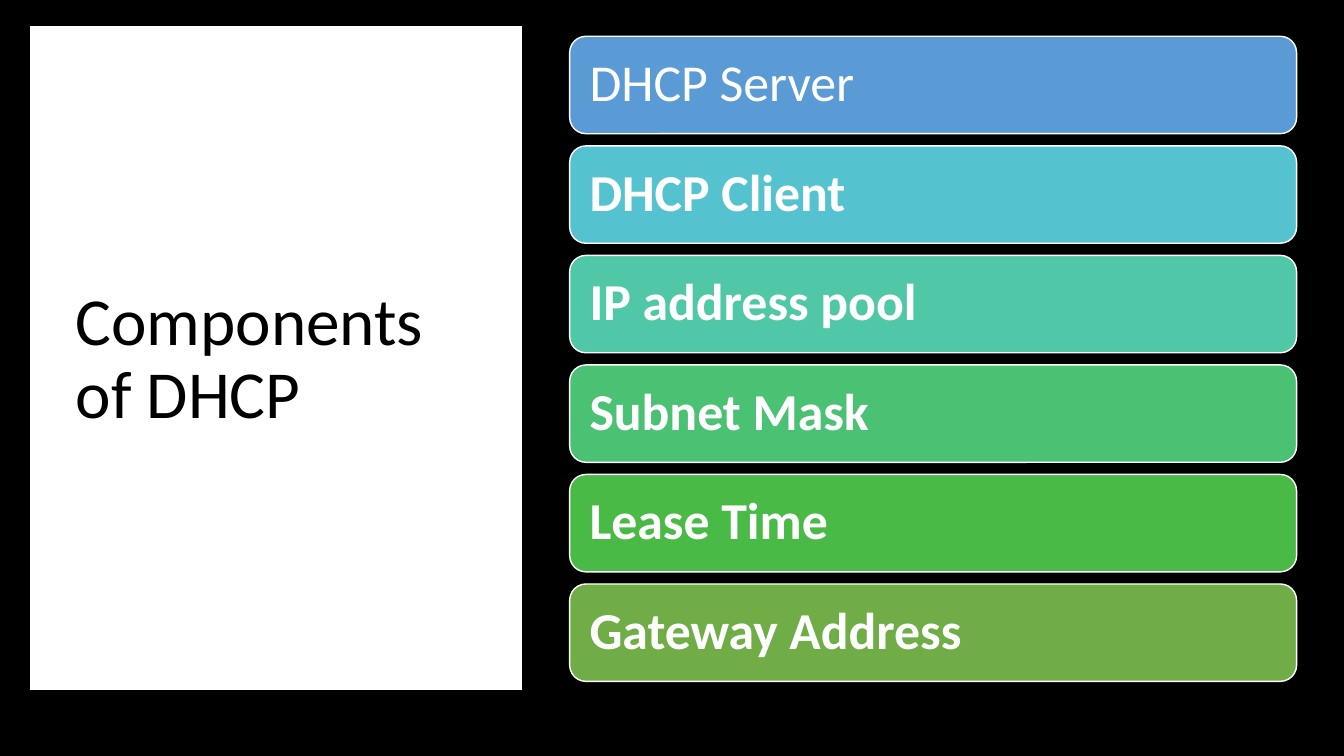
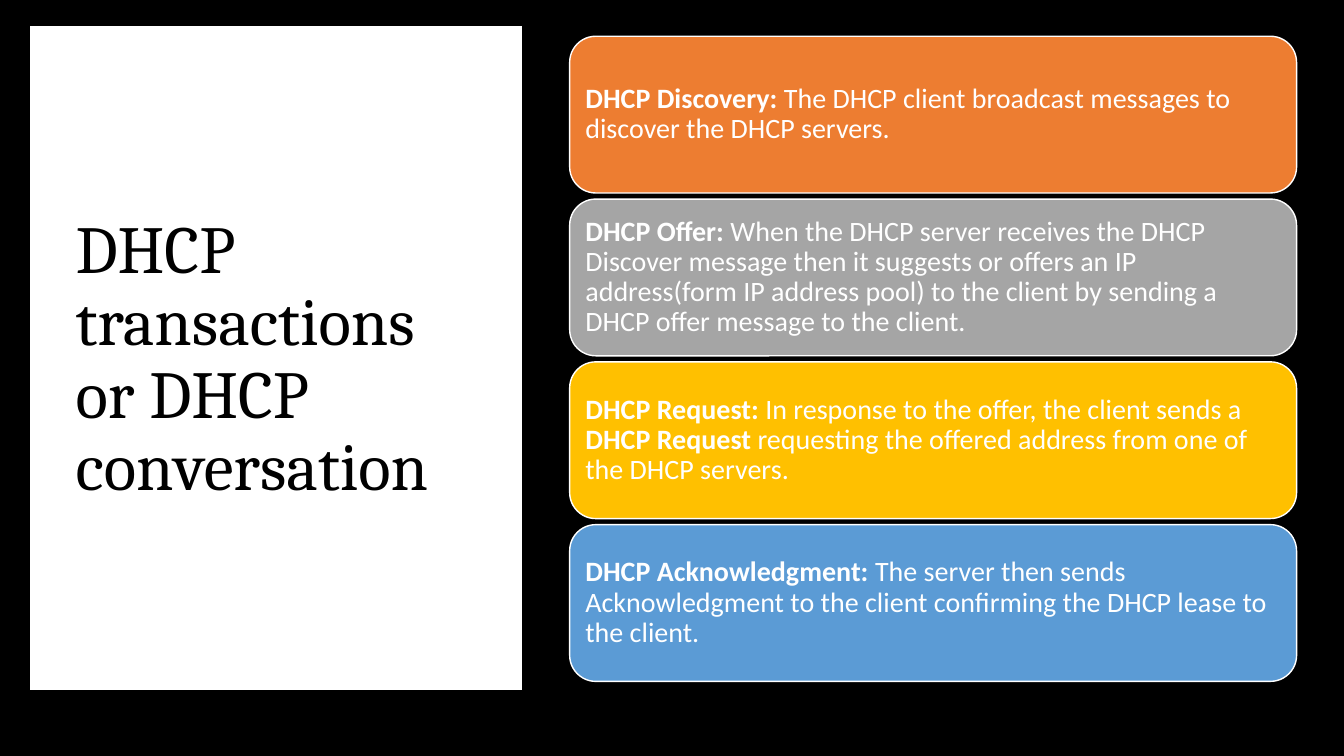
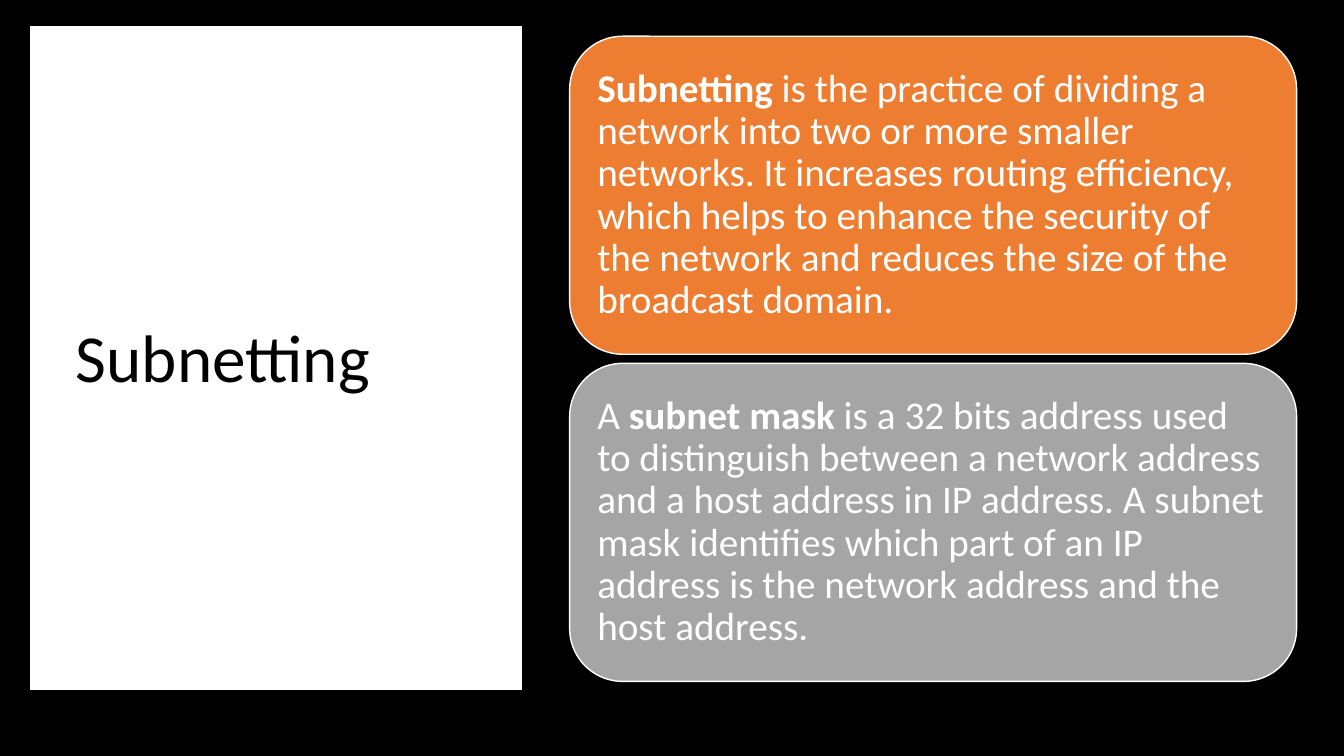
from pptx import Presentation
from pptx.dml.color import RGBColor
from pptx.enum.shapes import MSO_SHAPE as Shape
from pptx.enum.text import MSO_ANCHOR as Anchor, MSO_AUTO_SIZE as AutoSize, PP_ALIGN as Align
from pptx.oxml import parse_xml
from pptx.oxml.ns import nsdecls
from pptx.util import Inches, Pt

BLACK = RGBColor(0x00, 0x00, 0x00)
WHITE = RGBColor(0xFF, 0xFF, 0xFF)
ORANGE = RGBColor(0xED, 0x7D, 0x31)
GRAY = RGBColor(0xA5, 0xA5, 0xA5)
GOLD = RGBColor(0xFF, 0xC0, 0x00)
BLUE = RGBColor(0x5B, 0x9B, 0xD5)
CYAN = RGBColor(0x55, 0xC3, 0xCF)
TEAL = RGBColor(0x50, 0xC8, 0xA7)
MINT = RGBColor(0x4B, 0xC1, 0x74)
GREEN = RGBColor(0x4A, 0xBA, 0x46)
OLIVE = RGBColor(0x70, 0xAD, 0x47)

# Content: each card is a colour and a text, with bold words between ** marks
SLIDES = [
    dict(title="Components of DHCP", font="Calibri", size=37, gap=0.12, inset=0.15, cards=[
        (BLUE, "DHCP Server"),
        (CYAN, "**DHCP Client**"),
        (TEAL, "**IP address pool**"),
        (MINT, "**Subnet Mask**"),
        (GREEN, "**Lease Time**"),
        (OLIVE, "**Gateway Address**"),
    ]),
    dict(title="DHCP transactions or DHCP conversation", font="Cambria", size=20, gap=0.06,
         inset=0.08, cards=[
        (ORANGE, "**DHCP Discovery: **The DHCP client broadcast messages to discover the "
                 "DHCP servers."),
        (GRAY, "**DHCP Offer: **When the DHCP server receives the DHCP Discover message then "
               "it suggests or offers an IP address(form IP address pool) to the client by "
               "sending a DHCP offer message to the client."),
        (GOLD, "**DHCP Request: **In response to the offer, the client sends "
               "a **DHCP Request** requesting the offered address from one of the DHCP servers."),
        (BLUE, "**DHCP Acknowledgment: **The server then sends Acknowledgment to the client "
               "confirming the DHCP lease to the client."),
    ]),
    dict(title="Subnetting", font="Calibri", size=28, gap=0.09, inset=0.12, cards=[
        (ORANGE, "**Subnetting** is the practice of dividing a network into two or more smaller "
                 "networks. It increases routing efficiency, which helps to enhance the security "
                 "of the network and reduces the size of the broadcast domain."),
        (GRAY, "A **subnet mask** is a 32 bits address used to distinguish between a network "
               "address and a host address in IP address. A subnet mask identifies which part "
               "of an IP address is the network address and the host address."),
    ]),
]

# Card column shared by all slides
CARD_LEFT, CARD_WIDTH = 5.65, 7.21
STACK_TOP, STACK_HEIGHT = 0.36, 6.4


def add_filled(page, kind, left, top, width, height, fill, line_width):
    box = page.shapes.add_shape(kind, Inches(left), Inches(top), Inches(width), Inches(height))
    box.shadow.inherit = False
    box.fill.solid()
    box.fill.fore_color.rgb = fill
    box.line.color.rgb = WHITE
    box.line.width = Pt(line_width)
    return box


def format_text(para, font, size, color):
    para.alignment = Align.LEFT
    para.line_spacing = 0.9
    for span in para.runs:
        span.font.name = font
        span.font.size = Pt(size)
        span.font.color.rgb = color


def add_title(page, text, font):
    panel = add_filled(page, Shape.RECTANGLE, 0.37, 0.33, 4.74, 6.45, WHITE, 10)
    # Square corners for the thick outline
    panel.line._get_or_add_ln().append(parse_xml(f'<a:miter {nsdecls("a")} lim="800000"/>'))

    title = page.shapes.title
    page.shapes._spTree.append(title._element)  # bring the title in front of the panel
    title.left, title.top = Inches(0.65), Inches(0.7)
    title.width, title.height = Inches(4.16), Inches(5.75)
    frame = title.text_frame
    frame.text = text
    frame.word_wrap = True
    frame.auto_size = AutoSize.NONE
    frame.vertical_anchor = Anchor.MIDDLE
    format_text(frame.paragraphs[0], font, 48, BLACK)


def add_cards(page, cards, size, gap, inset):
    height = (STACK_HEIGHT - gap * (len(cards) - 1)) / len(cards)
    for row, (color, text) in enumerate(cards):
        card = add_filled(page, Shape.ROUNDED_RECTANGLE, CARD_LEFT,
                          STACK_TOP + row * (height + gap), CARD_WIDTH, height, color, 1)
        frame = card.text_frame
        frame.word_wrap = True
        frame.vertical_anchor = Anchor.MIDDLE
        frame.margin_left = frame.margin_right = Inches(inset)
        frame.margin_top = frame.margin_bottom = Inches(inset)
        para = frame.paragraphs[0]
        for index, part in enumerate(text.split("**")):
            if part:
                span = para.add_run()
                span.text = part
                span.font.bold = index % 2 == 1
        format_text(para, "Calibri", size, WHITE)


def main():
    deck = Presentation()
    deck.slide_width, deck.slide_height = Inches(13.33), Inches(7.5)
    backdrop = deck.slide_master.background.fill
    backdrop.solid()
    backdrop.fore_color.rgb = BLACK
    for content in SLIDES:
        page = deck.slides.add_slide(deck.slide_layouts[5])
        add_title(page, content["title"], content["font"])
        add_cards(page, content["cards"], content["size"], content["gap"], content["inset"])
    deck.save("out.pptx")


if __name__ == "__main__":
    main()
